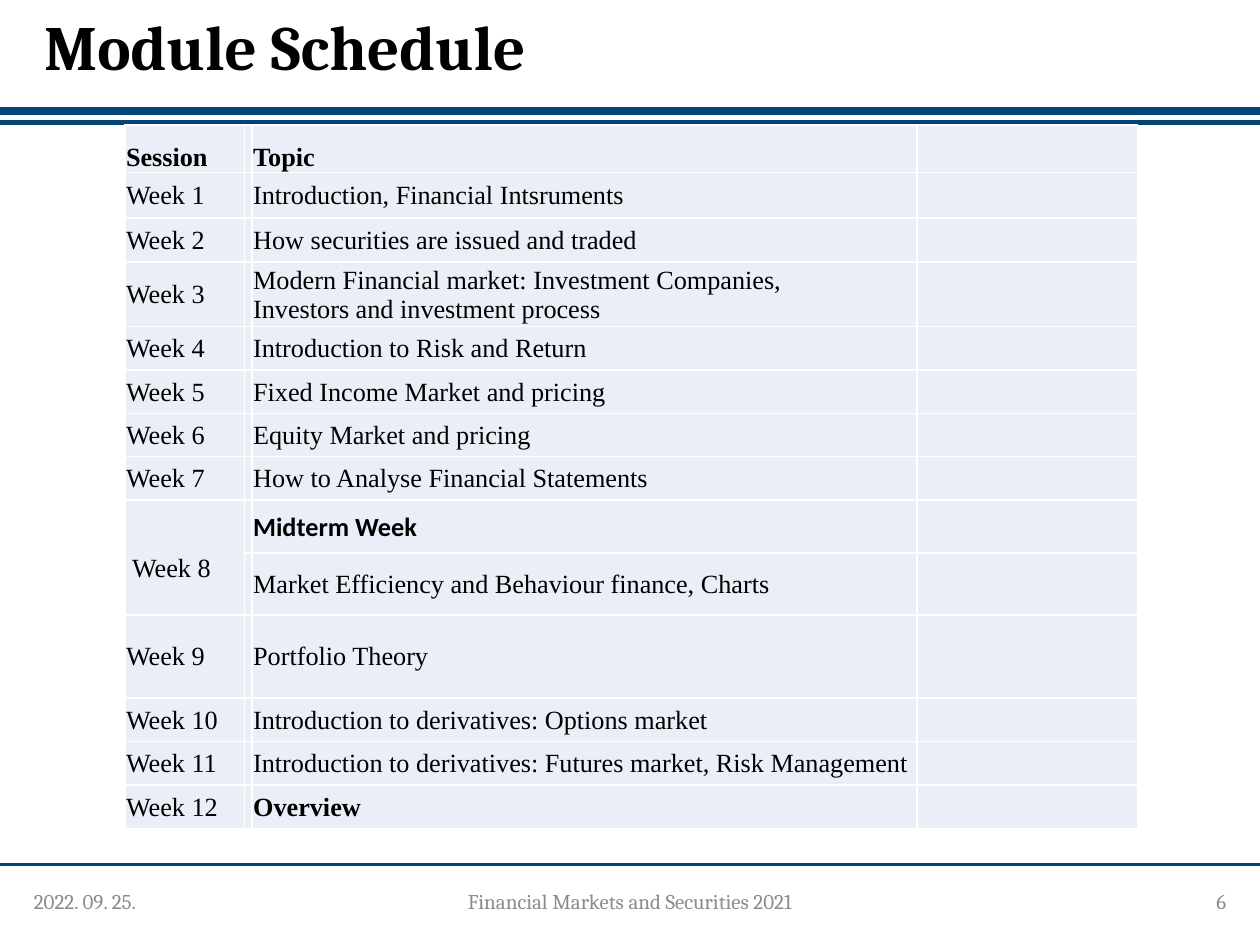
from lxml.etree import SubElement
from pptx import Presentation
from pptx.dml.color import RGBColor
from pptx.enum.text import MSO_ANCHOR as Anchor, PP_ALIGN as Align
from pptx.oxml.ns import qn
from pptx.util import Inches, Pt

NAVY = RGBColor(0x02, 0x44, 0x76)
PALE = RGBColor(0xEA, 0xEF, 0xF7)
GREY = RGBColor(0x8C, 0x8C, 0x8C)
BLACK = RGBColor(0, 0, 0)
WHITE = RGBColor(0xFF, 0xFF, 0xFF)

COLUMNS = (0.95, 0.05, 5.28, 1.75)
STEP = 0.345
# session, topic, row height
SCHEDULE = (
    ("Session", "Topic", 0.38),
    ("Week 1", "Introduction, Financial Intsruments", 0.36),
    ("Week 2", "How securities are issued and traded", 0.35),
    ("Week 3", "Modern Financial market: Investment Companies,\n"
               "Investors and investment process", 0.47),
    ("Week 4", "Introduction to Risk and Return", STEP),
    ("Week 5", "Fixed Income Market and pricing", STEP),
    ("Week 6", "Equity Market and pricing", STEP),
    ("Week 7", "How to Analyse Financial Statements", STEP),
    ("", "Midterm Week", 0.42),
    (" Week 8", "Market Efficiency and Behaviour finance, Charts", 0.49),
    ("Week 9", "Portfolio Theory", 0.66),
    ("Week 10", "Introduction to derivatives: Options market", STEP),
    ("Week 11", "Introduction to derivatives: Futures market, Risk Management", STEP),
    ("Week 12", "Overview", STEP),
)
BODY = dict(name="Times New Roman", size=Pt(15), bold=False)
SPECIAL = {"Session": dict(bold=True), "Topic": dict(bold=True),
           "Midterm Week": dict(bold=True, name="Calibri"), "Overview": dict(bold=True)}
# cell edges without a rule: Week 8 reads as one block with the cell above
OPEN_EDGES = {(8, 0, "lnB"), (9, 0, "lnT")}


def apply(target, values):
    """Set every attribute of the target from a dict."""
    for key, value in values.items():
        setattr(target, key, value)


def write(frame, text, font, color, **para_format):
    """Fill a text frame, one paragraph per line of text."""
    frame.text = text
    for para in frame.paragraphs:
        apply(para, para_format)
        for span in para.runs:
            apply(span.font, font)
            span.font.color.rgb = color


def add_rule(page, left, right, top, weight):
    """Draw one horizontal navy rule."""
    line = page.shapes.add_connector(1, Inches(left), Inches(top), Inches(right), Inches(top))
    line.line.color.rgb = NAVY
    line.line.width = Pt(weight)
    SubElement(line._element.spPr, qn("a:effectLst"))


def add_title(page, left, top, width, height):
    """Place the title placeholder in its box."""
    title = page.shapes.title
    apply(title, dict(left=Inches(left), top=Inches(top),
                      width=Inches(width), height=Inches(height)))
    apply(title.text_frame, dict(vertical_anchor=Anchor.MIDDLE, word_wrap=True))
    write(title.text_frame, "Module Schedule", dict(name="Cambria", size=Pt(36), bold=True),
          BLACK, alignment=Align.LEFT, line_spacing=0.9)


def add_footer(page, left, top, width, height):
    """Place date, course name and page number along the footer box."""
    side, middle = 2.25, 3.38
    parts = (("2022. 09. 25.", left, side, Align.LEFT),
             ("Financial Markets and Securities 2021", left + (width - middle) / 2,
              middle, Align.CENTER),
             ("6", left + width - side, side, Align.RIGHT))
    for text, x, part_width, align in parts:
        box = page.shapes.add_textbox(Inches(x), Inches(top), Inches(part_width), Inches(height))
        apply(box.text_frame, dict(word_wrap=True, vertical_anchor=Anchor.MIDDLE))
        write(box.text_frame, text, dict(name="Cambria", size=Pt(12)), GREY, alignment=align)


def style_cell(cell, row, column):
    """Give a cell its insets, white borders and pale fill."""
    apply(cell, dict(margin_left=Inches(0.01), margin_right=Inches(0.01),
                     margin_top=Inches(0.01), margin_bottom=0,
                     vertical_anchor=Anchor.BOTTOM if row == 0 else Anchor.MIDDLE))
    props = cell._tc.get_or_add_tcPr()
    for edge in ("lnL", "lnR", "lnT", "lnB"):
        border = SubElement(props, qn(f"a:{edge}"), w=str(Pt(1)))
        if (row, column, edge) in OPEN_EDGES:
            SubElement(border, qn("a:noFill"))
        else:
            fill = SubElement(border, qn("a:solidFill"))
            SubElement(fill, qn("a:srgbClr"), val=str(WHITE))
    cell.fill.solid()
    cell.fill.fore_color.rgb = PALE


def add_schedule(page, left, top):
    """Build the week table from its top left corner."""
    heights = [height for _, _, height in SCHEDULE]
    table = page.shapes.add_table(
        len(SCHEDULE), len(COLUMNS), Inches(left), Inches(top),
        Inches(sum(COLUMNS)), Inches(sum(heights))).table
    apply(table, dict(first_row=False, horz_banding=False))
    for column, width in zip(table.columns, COLUMNS):
        column.width = Inches(width)
    for row, (session, topic, height) in enumerate(SCHEDULE):
        table.rows[row].height = Inches(height)
        for column, text in enumerate((session, "", topic, "")):
            cell = table.cell(row, column)
            style_cell(cell, row, column)
            if text:
                write(cell.text_frame, text, BODY | SPECIAL.get(text, {}), BLACK)
            else:
                SubElement(cell.text_frame.paragraphs[0]._p, qn("a:endParaRPr"), sz="1000")
            if text == " Week 8":
                cell.vertical_anchor = Anchor.TOP


def build_schedule_page(deck):
    """Add the schedule slide to the deck."""
    page = deck.slides.add_slide(deck.slide_layouts[5])
    for left, right, top, weight in ((0, 10, 0.88, 4.5), (0, 10, 0.97, 3),
                                     (-0.02, 10.02, 6.86, 1.5)):
        add_rule(page, left, right, top, weight)
    add_title(page, 0.25, 0, 8.25, 0.8)
    add_footer(page, 0.17, 6.95, 9.66, 0.4)
    add_schedule(page, 0.99, 0.99)


deck = Presentation()
apply(deck, dict(slide_width=Inches(10), slide_height=Inches(7.5)))
build_schedule_page(deck)
deck.save("out.pptx")
